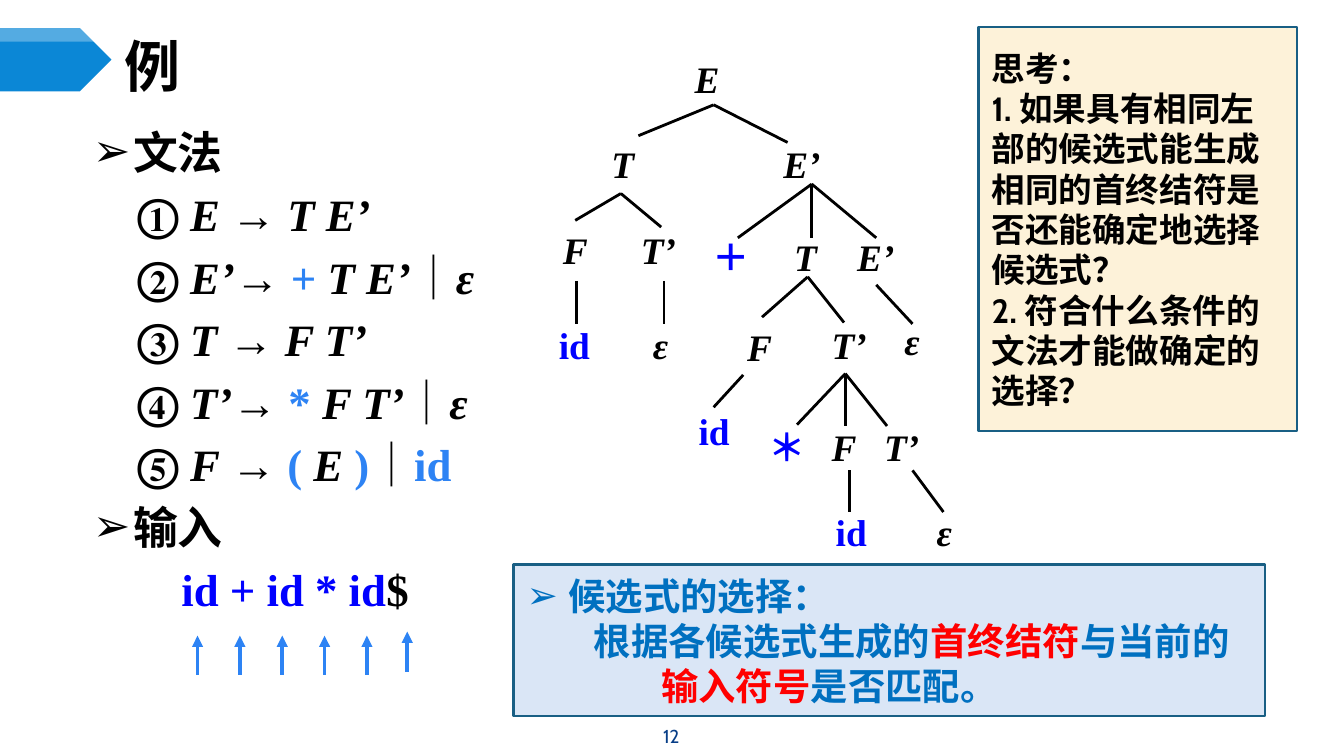
"""Build the slide on grammar, parse tree and choice of candidates."""
from dataclasses import dataclass
from typing import NamedTuple

from lxml import etree
from pptx import Presentation, util as u
from pptx.dml.color import RGBColor
from pptx.enum import shapes, text
from pptx.oxml import ns


@dataclass(frozen=True)
class Theme:
    """Colours, fonts and type sizes of the slide."""
    ink: str = "000000"
    accent: str = "2D83F4"
    leaf: str = "0000FF"
    rule: str = "0070C0"
    alert: str = "FF0000"
    border: str = "195F84"
    banner: str = "0B87D6"
    gloss: str = "FFFFFF"
    rule_fill: str = "DAE6F6"
    question_fill: str = "FDF2D9"
    page: str = "073E87"
    heading_font: str = "Noto Sans CJK SC"
    formula_font: str = "Times New Roman"
    box_font: str = "Cabin"
    bullet_font: str = "Arial"
    title_size: int = 30
    body_size: int = 24
    tree_size: int = 20
    rule_size: int = 20
    question_size: int = 18
    page_size: int = 10
    body_pitch: float = 33.5


THEME = Theme()
DECK = Presentation()
DECK.slide_width, DECK.slide_height = u.Inches(10), u.Inches(10) * 9 // 16
CELL = DECK.slide_width / 100


class Point(NamedTuple):
    """A place on the grid of 100 columns."""
    column: float
    row: float


class Area(NamedTuple):
    """A rectangle on the grid."""
    column: float
    row: float
    columns: float
    rows: float


class Piece(NamedTuple):
    """A run of text with its look."""
    words: str
    colour: str = THEME.ink
    italic: bool = False
    font: str = THEME.formula_font
    east_font: str = ""


@dataclass(frozen=True)
class Line:
    """A paragraph with its indents in cells."""
    pieces: list[Piece]
    margin: float = 0
    hanging: float = 0
    bullet: str = ""
    level: int = 0


@dataclass(frozen=True)
class Node:
    """A symbol of the parse tree with the branches below it."""
    symbol: str
    place: Point
    apex: Point | None = None
    feet: tuple[Point, ...] = ()


def cells(*counts: float) -> list[int]:
    """Turn grid counts into lengths."""
    return [round(count * CELL) for count in counts]


def rgb(colour: str) -> RGBColor:
    """Turn a hex colour into a colour object."""
    return RGBColor.from_string(colour)


def add_piece(paragraph, piece: Piece, size: float, bold: bool = True):
    """Add one formatted run."""
    run = paragraph.add_run()
    run.text = piece.words
    run.font.size, run.font.bold, run.font.italic = u.Pt(size), bold, piece.italic
    run.font.name = piece.font
    run.font.color.rgb = rgb(piece.colour)
    east_asian = etree.SubElement(run.font._element, ns.qn("a:ea"))
    east_asian.set("typeface", piece.east_font or piece.font)
    return run


def write(frame, lines: list[Line], size: float, pitch: float | None = None) -> None:
    """Fill a text frame with paragraphs."""
    for index, line in enumerate(lines):
        paragraph = frame.add_paragraph() if index else frame.paragraphs[0]
        paragraph.level = line.level
        properties = paragraph._p.get_or_add_pPr()
        margin, hanging = cells(line.margin, line.hanging)
        properties.set("marL", str(margin))
        properties.set("indent", str(-hanging))
        if line.bullet:
            etree.SubElement(properties, ns.qn("a:buFont")).set("typeface", THEME.bullet_font)
            etree.SubElement(properties, ns.qn("a:buChar")).set("char", line.bullet)
        else:
            etree.SubElement(properties, ns.qn("a:buNone"))
        paragraph.alignment = text.PP_ALIGN.LEFT
        paragraph.space_before = u.Pt(0)
        if pitch:
            paragraph.line_spacing = u.Pt(pitch)
        for piece in line.pieces:
            add_piece(paragraph, piece, size)


def place(placeholder, area: Area):
    """Move a placeholder and return its text frame."""
    placeholder.left, placeholder.top, placeholder.width, placeholder.height = cells(*area)
    placeholder.text_frame.auto_size = text.MSO_AUTO_SIZE.NONE
    return placeholder.text_frame


def add_block(slide, kind, area: Area, fill: str, border: str | None = None):
    """Add a flat filled shape."""
    block = slide.shapes.add_shape(kind, *cells(*area))
    block.shadow.inherit = False
    block.fill.solid()
    block.fill.fore_color.rgb = rgb(fill)
    if border:
        block.line.color.rgb = rgb(border)
        block.line.width = u.Pt(1.25)
    else:
        block.line.fill.background()
    return block


def add_panel(slide, area: Area, fill: str, lines: list[Line], size: float) -> None:
    """Add a bordered box of text."""
    panel = add_block(slide, shapes.MSO_SHAPE.RECTANGLE, area, fill, THEME.border)
    panel.text_frame.word_wrap = True
    panel.text_frame.vertical_anchor = text.MSO_ANCHOR.MIDDLE
    write(panel.text_frame, lines, size)


def add_line(slide, start: Point, end: Point, colour: str, width: float, arrow: bool = False) -> None:
    """Add a straight line, with an arrowhead at its end if asked."""
    line = slide.shapes.add_connector(shapes.MSO_CONNECTOR.STRAIGHT, *cells(*start, *end))
    line.line.color.rgb = rgb(colour)
    line.line.width = u.Pt(width)
    if arrow:
        etree.SubElement(line.line._get_or_add_ln(), ns.qn("a:tailEnd")).set("type", "triangle")
    etree.SubElement(line._element.spPr, ns.qn("a:effectLst"))


SYMBOL_COLUMNS = {"E": 3.9, "T": 3.7, "F": 3.9, "E’": 4.8, "T’": 4.7,
                  "id": 4.4, "ε": 3.2, "＋": 4.8, "＊": 4.8}
TERMINALS = {"id", "＋", "＊"}


def add_node(slide, node: Node) -> None:
    """Add a tree symbol and its branches."""
    label = slide.shapes.add_textbox(*cells(*node.place, SYMBOL_COLUMNS[node.symbol], 4.4))
    label.text_frame.word_wrap = False
    terminal = node.symbol in TERMINALS
    colour = THEME.leaf if terminal else THEME.ink
    piece = Piece(node.symbol, colour, not terminal, east_font=THEME.heading_font)
    write(label.text_frame, [Line([piece])], THEME.tree_size)
    for foot in node.feet:
        add_line(slide, node.apex, foot, THEME.ink, 1.5)


def variable(words: str) -> Piece:
    """Make an italic grammar symbol."""
    return Piece(words, italic=True)


def token(words: str) -> Piece:
    """Make a highlighted terminal."""
    return Piece(words, THEME.accent)


def boxed(words: str, colour: str = THEME.ink) -> Piece:
    """Make a run in the font of the boxes."""
    return Piece(words, colour, font=THEME.box_font)


def heading(words: str) -> Line:
    """Make a bulleted heading of the list."""
    return Line([Piece(words, font=THEME.heading_font)], 3, 3, "➢")


OR = Piece("｜")
PRODUCTIONS = [
    [Piece("① "), variable("E"), Piece(" → "), variable("T E’")],
    [Piece("② "), variable("E’"), Piece("→ "), token("+ "), variable("T E’"), OR, variable("ε")],
    [Piece("③ "), variable("T"), Piece(" → "), variable("F T’")],
    [Piece("④ "), variable("T’"), Piece("→ "), token("* "), variable("F T’"), OR, variable("ε")],
    [Piece("⑤ "), variable("F"), Piece(" → "), token("( "), variable("E "), token(")"), OR, token("id")],
]
BODY = [
    heading("文法"),
    *[Line(production, 3.3, level=1) for production in PRODUCTIONS],
    heading("输入"),
    Line([Piece("id + id * id", THEME.leaf), Piece("$")], 6.6, level=1),
]
TREE = [
    Node("E", Point(50.7, 3.7), Point(53.1, 7.8), (Point(47.5, 10.1), Point(58.6, 10.6))),
    Node("T", Point(44.5, 10), Point(46.2, 14.4), (Point(42.8, 16.4), Point(49.2, 16.9))),
    Node("E’", Point(57.3, 10), Point(60.4, 13.7), (Point(54.9, 17.7), Point(60.4, 17.7), Point(65.2, 17.7))),
    Node("F", Point(40.9, 16.4), Point(42.9, 20.9), (Point(42.9, 24.1),)),
    Node("T’", Point(46.7, 16.4), Point(49.4, 20.9), (Point(49.4, 24.1),)),
    Node("＋", Point(52, 16.9)),
    Node("T", Point(58.1, 16.9), Point(60.1, 20.6), (Point(56.7, 23.6), Point(62.8, 24))),
    Node("E’", Point(62.8, 16.9), Point(65.2, 21.2), (Point(67.9, 24.1),)),
    Node("id", Point(40.6, 23.5)),
    Node("ε", Point(47.6, 23.5)),
    Node("F", Point(54.6, 23.6), Point(55.3, 27.9), (Point(53.1, 30.3),)),
    Node("T’", Point(60.9, 23.5), Point(62.9, 27.8), (Point(59.3, 31.6), Point(62.9, 31.7), Point(66, 31.7))),
    Node("ε", Point(66.3, 23.2)),
    Node("id", Point(51, 29.9)),
    Node("＊", Point(56.2, 31.1)),
    Node("F", Point(60.9, 31.1), Point(63.2, 35), (Point(63.2, 38.1),)),
    Node("T’", Point(64.8, 31.1), Point(67.9, 35), (Point(70.2, 38.1),)),
    Node("id", Point(61.2, 37.4)),
    Node("ε", Point(68.7, 37.4)),
]
RULE = [
    Line([boxed("候选式的选择：", THEME.rule)], 3.1, 3.1, "➢"),
    Line([boxed("根据各候选式生成的", THEME.rule), boxed("首终结符", THEME.alert),
          boxed("与当前的", THEME.rule)], 5, level=1),
    Line([boxed("输入符号", THEME.alert), boxed("是否匹配。", THEME.rule)], 10, level=1),
]
QUESTIONS = [Line([boxed(words)]) for words in (
    "思考：",
    "1. 如果具有相同左部的候选式能生成相同的首终结符是否还能确定地选择候选式？",
    "2. 符合什么条件的文法才能做确定的选择？",
)]


def main() -> None:
    """Draw the slide and save it."""
    slide = DECK.slides.add_slide(DECK.slide_layouts[1])
    title, body = slide.placeholders

    grammar = place(body, Area(5.9, 8.6, 65.4, 35.5))
    grammar.margin_top = 0
    write(grammar, BODY, THEME.body_size, THEME.body_pitch)

    topic = place(title, Area(8.3, 2.9, 86.7, 3.9))
    topic.vertical_anchor = text.MSO_ANCHOR.MIDDLE
    topic.paragraphs[0].alignment = text.PP_ALIGN.LEFT
    example = add_piece(topic.paragraphs[0], Piece("例", font=THEME.heading_font), THEME.title_size)
    example.font._element.set("spc", "300")

    for node in TREE:
        add_node(slide, node)
    for step in range(5):
        column = 14.7 + 3.15 * step
        add_line(slide, Point(column, 50.2), Point(column, 47.3), THEME.accent, 2, True)
    add_line(slide, Point(30.3, 50), Point(30.3, 47), THEME.accent, 2, True)

    pentagon = shapes.MSO_SHAPE.PENTAGON
    add_block(slide, pentagon, Area(0, 2.1, 8.3, 4.7), THEME.banner)
    gloss = add_block(slide, pentagon, Area(0, 2.1, 8.3, 1), THEME.gloss)
    tint = gloss.fill._xPr.find(f".//{ns.qn('a:srgbClr')}")
    etree.SubElement(tint, ns.qn("a:alpha")).set("val", "30000")

    add_panel(slide, Area(38.2, 42, 55.9, 11.3), THEME.rule_fill, RULE, THEME.rule_size)
    number = slide.shapes.add_textbox(*cells(43.6, 53.3, 12.7, 3)).text_frame
    number.word_wrap = True
    number.vertical_anchor = text.MSO_ANCHOR.MIDDLE
    number.paragraphs[0].alignment = text.PP_ALIGN.CENTER
    add_piece(number.paragraphs[0], boxed("12", THEME.page), THEME.page_size, bold=False)
    add_panel(slide, Area(72.8, 2, 23.7, 30.1), THEME.question_fill, QUESTIONS, THEME.question_size)
    DECK.save("out.pptx")


if __name__ == "__main__":
    main()
